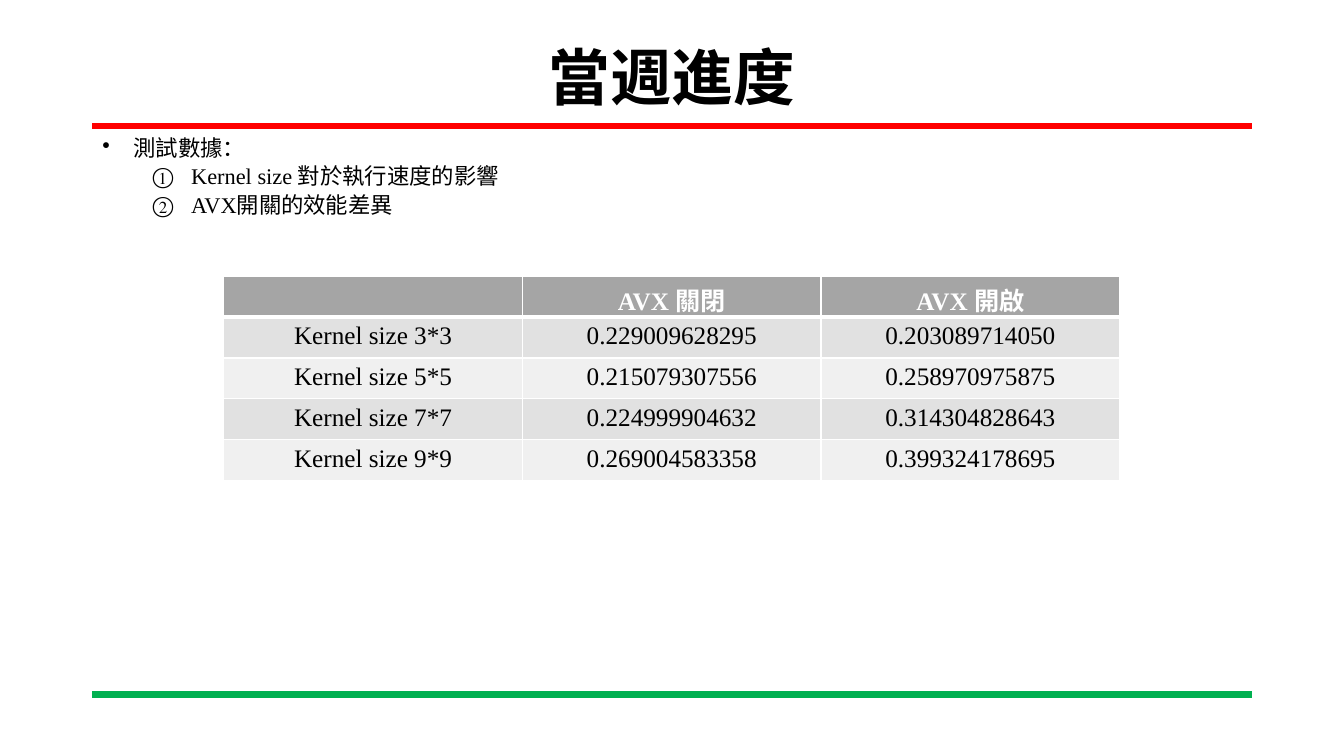
"""Build the weekly progress slide with the AVX timing table."""
import pptx
import pptx.dml.color
import pptx.enum.shapes
import pptx.enum.text
import pptx.oxml
import pptx.oxml.ns
import pptx.util
from lxml import etree

Cm = pptx.util.Cm
Pt = pptx.util.Pt
qn = pptx.oxml.ns.qn
CENTER = pptx.enum.text.PP_ALIGN.CENTER

TITLE = "當週進度"
BULLETS = [
    ("測試數據：", 0),
    ("Kernel size 對於執行速度的影響", 1),
    ("AVX開關的效能差異", 1),
]
TIMINGS = [
    ("", "AVX 關閉", "AVX 開啟"),
    ("Kernel size 3*3", "0.229009628295", "0.203089714050"),
    ("Kernel size 5*5", "0.215079307556", "0.258970975875"),
    ("Kernel size 7*7", "0.224999904632", "0.314304828643"),
    ("Kernel size 9*9", "0.269004583358", "0.399324178695"),
]
COLORS = {
    "text": "000000", "white": "FFFFFF", "top_rule": "FF0000", "bottom_rule": "00B050",
    "header": "A5A5A5", "odd_row": "E1E1E1", "even_row": "F0F0F0",
}
LATIN_FONT, ASIAN_FONT = "Times New Roman", "Noto Sans CJK SC"
LEVELS = [
    (0.79, -0.79, "buChar", {"char": "•"}),
    (2.24, -0.97, "buAutoNum", {"type": "circleNumWdWhitePlain"}),
]
LEFT, WIDTH = 2.33, 29.21
RULES = [(3.17, "top_rule"), (17.5, "bottom_rule")]


def rgb(name):
    return pptx.dml.color.RGBColor.from_string(COLORS[name])


def style_font(paragraph, size, color="text", bold=False):
    font = paragraph.font
    font.name, font.size, font.bold = LATIN_FONT, Pt(size), bold
    font.color.rgb = rgb(color)
    properties = paragraph._p.pPr.find(qn("a:defRPr"))
    etree.SubElement(properties, qn("a:ea"), typeface=ASIAN_FONT)


def add_text_frame(slide, top, height):
    box = slide.shapes.add_textbox(Cm(LEFT), Cm(top), Cm(WIDTH), Cm(height))
    box.text_frame.word_wrap = True
    return box.text_frame


def add_rule(slide, y, color):
    rule = slide.shapes.add_connector(
        pptx.enum.shapes.MSO_CONNECTOR.STRAIGHT, Cm(LEFT), Cm(y), Cm(LEFT + WIDTH), Cm(y))
    rule.line.color.rgb = rgb(color)
    rule.line.width = Pt(4.5)
    etree.SubElement(rule._element.spPr, qn("a:effectLst"))


def add_bullet(paragraph, text, level):
    margin, indent, bullet, attributes = LEVELS[level]
    paragraph.text, paragraph.level = text, level
    paragraph.line_spacing, paragraph.space_before = 0.9, Pt(3)
    properties = paragraph._p.get_or_add_pPr()
    properties.set("marL", str(Cm(margin)))
    properties.set("indent", str(Cm(indent)))
    etree.SubElement(properties, qn("a:" + bullet), attributes)
    style_font(paragraph, 16)


def set_borders(cell, widths):
    properties = cell._tc.get_or_add_tcPr()
    for position, (side, width) in enumerate(widths.items()):
        line = etree.Element(qn("a:ln" + side), w=str(Pt(width)))
        fill = etree.SubElement(line, qn("a:solidFill"))
        etree.SubElement(fill, qn("a:srgbClr"), val=COLORS["white"])
        properties.insert(position, line)


def fill_cell(cell, text, row):
    header = row == 0
    cell.fill.solid()
    cell.fill.fore_color.rgb = rgb("header" if header else "odd_row" if row % 2 else "even_row")
    set_borders(cell, {"L": 1, "R": 1, "T": 3 if row == 1 else 1, "B": 3 if header else 1})
    paragraph = cell.text_frame.paragraphs[0]
    paragraph.text, paragraph.alignment = text, CENTER
    style_font(paragraph, 18, "white" if header else "text", header)


presentation = pptx.Presentation()
presentation.slide_width, presentation.slide_height = Cm(33.87), Cm(19.05)
slide = presentation.slides.add_slide(presentation.slide_layouts[6])

for y, color in RULES:
    add_rule(slide, y, color)

body = add_text_frame(slide, 3.33, 14)
for number, (text, level) in enumerate(BULLETS):
    add_bullet(body.add_paragraph() if number else body.paragraphs[0], text, level)

title = add_text_frame(slide, 1.02, 2)
title.vertical_anchor = pptx.enum.text.MSO_ANCHOR.MIDDLE
heading = title.paragraphs[0]
heading.text, heading.alignment, heading.line_spacing = TITLE, CENTER, 0.9
style_font(heading, 44, bold=True)

table = slide.shapes.add_table(
    len(TIMINGS), len(TIMINGS[0]), Cm(5.64), Cm(6.96), Cm(22.58), Cm(5.15)).table
for row, values in enumerate(TIMINGS):
    for column, value in enumerate(values):
        fill_cell(table.cell(row, column), value, row)

presentation.save("out.pptx")
